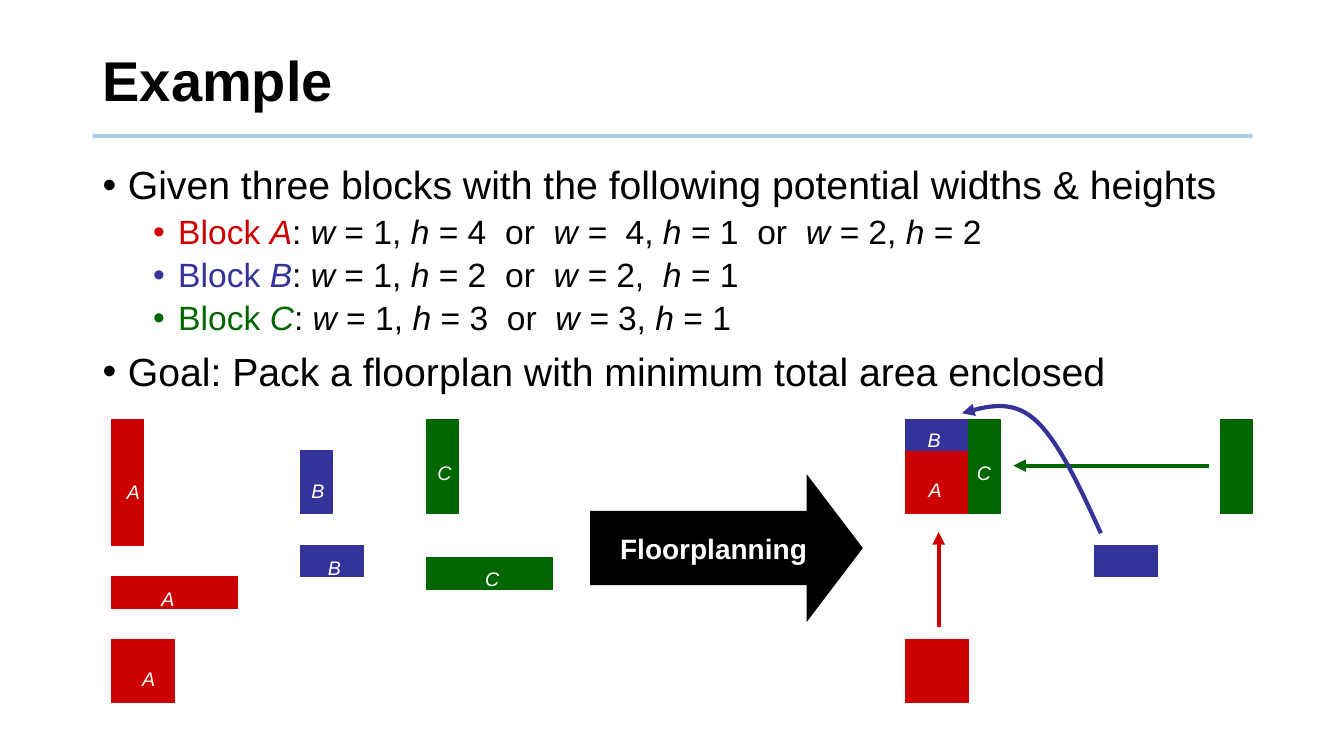
"""Build the floorplanning example slide."""
import pptx
import pptx.util
import pptx.dml.color
import pptx.enum.shapes
import pptx.enum.text
import pptx.oxml
import pptx.oxml.ns

HEX = {"A": "CC0000", "B": "333399", "C": "006600", "text": "000000",
       "white": "FFFFFF", "rule": "5B9BD5"}
WIDE, HIGH = 13.33, 7.5
UNIT, LEFT, TOP = 0.3125, 1.11, 4.16

TITLE = "Example"
ARROW = "Floorplanning"
BODY = [
    (None, "Given three blocks with the following potential widths & heights"),
    ("A", ": *w *= 1, *h *= 4  or  *w = * 4, *h *= 1  or  *w =* 2, *h *= 2"),
    ("B", ": *w *= 1, *h *= 2  or  *w =* 2,  *h *= 1"),
    ("C", ": *w* = 1, *h *= 3  or  *w =* 3, *h *= 1"),
    (None, "Goal: Pack a floorplan with minimum total area enclosed"),
]
# name, column, row, piece width, piece height, pieces across, pieces down
BLOCKS = [
    ("B", 6, 4, 2, 1, 1, 1), ("B", 6, 1, 1, 2, 1, 1),
    ("A", 0, 0, 1, 2, 1, 2), ("A", 0, 5, 2, 1, 2, 1), ("A", 0, 7, 1, 2, 2, 1),
    ("C", 10, 4.4, 2, 1, 2, 1), ("C", 10, 0, 1, 1.5, 1, 2),
    ("B", 31.2, 4, 2, 1, 1, 1), ("A", 25.2, 7, 1, 2, 2, 1),
    ("C", 35.2, 0, 1, 1.5, 1, 2), ("A", 25.2, 1, 1, 2, 2, 1),
    ("B", 25.2, 0, 2, 1, 1, 1), ("C", 27.2, 0, 1, 1.5, 1, 2),
]
LABELS = [
    ("A", -0.2, 1.47), ("A", 0.9, 4.86), ("A", 0.29, 7.42),
    ("B", 6.18, 3.87), ("B", 5.66, 1.44), ("C", 9.66, 0.86),
    ("C", 11.17, 4.22), ("A", 25.25, 1.41), ("C", 26.78, 0.86),
    ("B", 25.22, -0.19),
]
MOVES = [("A", 26.24, 6.59, 26.24, 3.58), ("C", 34.82, 1.47, 28.61, 1.47)]
CURVE = [
    ((31.39, 3.62), (30.72, 2.14), (30.02, 0.64), (29.28, 0)),
    ((29.28, 0), (28.54, -0.64), (27.78, -0.42), (26.98, -0.19)),
]
STEPS = 16

inch, pt = pptx.util.Inches, pptx.util.Pt
KIND = pptx.enum.shapes.MSO_SHAPE
FIT = pptx.enum.text.MSO_AUTO_SIZE.SHAPE_TO_FIT_TEXT
MID = pptx.enum.text.MSO_ANCHOR.MIDDLE
TAG = {"word_wrap": False, "auto_size": FIT, "margin_left": inch(0.21),
       "margin_right": inch(0.1), "margin_top": inch(0.05),
       "margin_bottom": inch(0.07)}


def put(item, form):
    for name, value in form.items():
        setattr(item, name, value)


def tint(color, key):
    color.rgb = pptx.dml.color.RGBColor.from_string(HEX[key])


def add_xml(node, text):
    start, rest = text.split(" ", 1) if " " in text else (text[:-2], "/>")
    space = pptx.oxml.ns.nsdecls("a")
    part = pptx.oxml.parse_xml(f"{start} {space} {rest}")
    node.append(part)


def spot(col, row):
    return inch(LEFT + col * UNIT), inch(TOP + row * UNIT)


def write(para, text, key, size, bold=False, italic=False):
    for i, piece in enumerate(text.split("*")):
        if piece:
            run = para.add_run()
            run.text = piece
            put(run.font, {"name": "Arial", "size": pt(size), "bold": bold,
                           "italic": italic or i % 2 == 1})
            tint(run.font.color, key)


def frame(shapes, box, form):
    text = shapes.add_textbox(*box).text_frame
    put(text, form)
    return text


def shape(shapes, kind, box, key):
    item = shapes.add_shape(kind, *box)
    item.shadow.inherit = False
    item.fill.solid()
    tint(item.fill.fore_color, key)
    tint(item.line.color, key)
    item.line.width = pt(0.75)
    return item


def stroke(item, key, head=True):
    tint(item.line.color, key)
    item.line.width = pt(3)
    if head:
        add_xml(item.line._get_or_add_ln(), '<a:tailEnd type="triangle"/>')


def line(shapes, start, end, key, head=True):
    kind = pptx.enum.shapes.MSO_CONNECTOR.STRAIGHT
    item = shapes.add_connector(kind, *start, *end)
    stroke(item, key, head)
    add_xml(item._element.spPr, "<a:effectLst/>")
    return item


def bend(a, b, c, d, t):
    s = 1 - t
    return spot(*(s**3 * p + 3 * s * s * t * q + 3 * s * t * t * u + t**3 * v
                  for p, q, u, v in zip(a, b, c, d)))


def share(x, y, w, h):
    return [inch(n) for n in (x * WIDE, y * HIGH, w * WIDE, h * HIGH)]


def head(shapes):
    rule = line(shapes, share(0.069, 0.18, 0, 0)[:2],
                share(0.932, 0.18, 0, 0)[:2], "rule", False)
    color = rule.line._get_or_add_ln().find(".//" + pptx.oxml.ns.qn("a:srgbClr"))
    add_xml(color, '<a:alpha val="50000"/>')
    text = frame(shapes, share(0.069, 0.037, 0.863, 0.147),
                 {"word_wrap": True, "vertical_anchor": MID})
    text.paragraphs[0].line_spacing = 0.9
    write(text.paragraphs[0], TITLE, "text", 40, bold=True)


def body(shapes):
    text = frame(shapes, share(0.069, 0.213, 0.863, 0.687), {"word_wrap": True})
    for i, (key, words) in enumerate(BODY):
        para = text.add_paragraph() if i else text.paragraphs[0]
        props = para._p.get_or_add_pPr()
        props.set("marL", str(inch(0.75 if key else 0.25)))
        props.set("indent", str(-inch(0.25)))
        tone = HEX[key or "text"]
        add_xml(props, f'<a:buClr ><a:srgbClr val="{tone}"/></a:buClr>')
        add_xml(props, '<a:buFont typeface="Arial"/>')
        add_xml(props, '<a:buChar char="•"/>')
        gap = (5 if key else 10) if i else 0
        put(para, {"level": 1 if key else 0, "line_spacing": 0.9,
                   "space_before": pt(gap)})
        if key:
            write(para, f"Block *{key}*", key, 24)
        write(para, words, "text", 24 if key else 28)


def plan(shapes):
    for key, col, row, w, h, across, down in BLOCKS:
        for i in range(across):
            for j in range(down):
                box = (*spot(col + i * w, row + j * h),
                       inch(w * UNIT), inch(h * UNIT))
                shape(shapes, KIND.RECTANGLE, box, key)
    for key, x, y, to_x, to_y in MOVES:
        line(shapes, spot(x, y), spot(to_x, to_y), key)
    form = shapes.build_freeform(*spot(*CURVE[0][0]))
    form.add_line_segments([bend(*part, n / STEPS) for part in CURVE
                            for n in range(1, STEPS + 1)], close=False)
    path = form.convert_to_shape()
    path.shadow.inherit = False
    path.fill.background()
    stroke(path, "B")
    big = shape(shapes, KIND.RIGHT_ARROW, share(0.439, 0.627, 0.203, 0.196), "text")
    big.line.fill.background()
    big.adjustments[0], big.adjustments[1] = 0.5, 0.38
    text = frame(shapes, share(0.454, 0.696, 0.161, 0.059),
                 {"word_wrap": True, "auto_size": FIT})
    write(text.paragraphs[0], ARROW, "white", 20, bold=True)
    for name, col, row in LABELS:
        text = frame(shapes, (*spot(col, row), inch(0.35), inch(0.36)), TAG)
        text.paragraphs[0].line_spacing = pt(23.5)
        write(text.paragraphs[0], name, "white", 14, italic=True)


def main():
    deck = pptx.Presentation()
    put(deck, {"slide_width": inch(WIDE), "slide_height": inch(HIGH)})
    shapes = deck.slides.add_slide(deck.slide_layouts[6]).shapes
    for draw in (head, body, plan):
        draw(shapes)
    deck.save("out.pptx")


if __name__ == "__main__":
    main()
